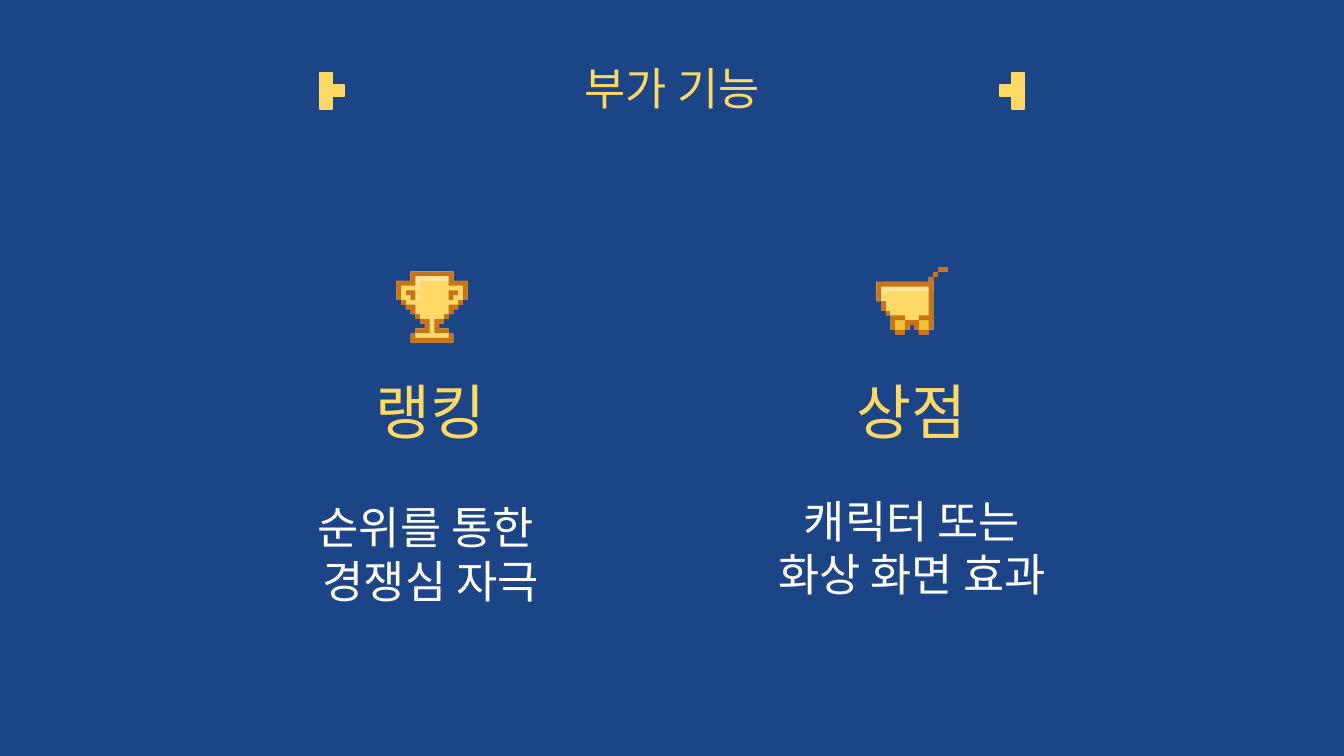
from dataclasses import dataclass

from lxml.etree import SubElement
from pptx import Presentation
from pptx.dml.color import RGBColor
from pptx.enum.text import MSO_ANCHOR as Anchor, MSO_AUTO_SIZE as AutoSize, PP_ALIGN as Align
from pptx.oxml.ns import qn
from pptx.util import Inches, Pt

FONT = "Noto Sans CJK KR"
COLORS = {
    "navy": "1C4587",
    "gold": "FFD966",
    "light": "FFE599",
    "amber": "F1C232",
    "brown": "C9741B",
    "white": "FFFFFF",
}


@dataclass(frozen=True)
class Piece:
    """A right-angled outline: corner x, y pairs, each edge alternately across and down."""
    color: str
    corners: tuple[float, ...]
    outlined: bool = False

    def mirrored(self, columns: int) -> "Piece":
        flipped = tuple(columns - value if index % 2 == 0 else value
                        for index, value in enumerate(self.corners))
        return Piece(self.color, flipped, self.outlined)

    def shifted(self, columns: int) -> "Piece":
        moved = tuple(value + columns if index % 2 == 0 else value
                      for index, value in enumerate(self.corners))
        return Piece(self.color, moved, self.outlined)


@dataclass(frozen=True)
class Icon:
    left: float
    top: float
    cell_width: float
    cell_height: float
    pieces: list[Piece]


@dataclass(frozen=True)
class Label:
    placeholder: int
    box: tuple[float, float, float, float]
    text: str
    size: int
    color: str
    anchor: Anchor


def rgb(name: str) -> RGBColor:
    return RGBColor.from_string(COLORS[name])


def draw_icon(page, icon: Icon) -> None:
    group = page.shapes.add_group_shape()
    for piece in icon.pieces:
        xs = [Inches(icon.left + x * icon.cell_width) for x in piece.corners[::2]]
        ys = [Inches(icon.top + y * icon.cell_height) for y in piece.corners[1::2]]
        points = []
        for x, next_x, y in zip(xs, xs[1:] + xs[:1], ys):
            points += [(x, y), (next_x, y)]
        builder = group.shapes.build_freeform(*points[0])
        builder.add_line_segments(points[1:], close=True)
        shape = builder.convert_to_shape()
        shape.shadow.inherit = False
        shape.fill.solid()
        shape.fill.fore_color.rgb = rgb(piece.color)
        if piece.outlined:
            shape.line.color.rgb = rgb(piece.color)
            shape.line.width = Pt(0.75)
        else:
            shape.line.fill.background()


def fill_label(page, label: Label) -> None:
    holder = page.placeholders[label.placeholder]
    holder.left, holder.top, holder.width, holder.height = map(Inches, label.box)
    frame = holder.text_frame
    frame.text = label.text
    frame.word_wrap = True
    frame.auto_size = AutoSize.NONE
    frame.vertical_anchor = label.anchor
    frame.margin_left = frame.margin_right = Inches(0.1)
    frame.margin_top = frame.margin_bottom = Inches(0.1)
    for para in frame.paragraphs:
        para.alignment = Align.CENTER
        para.space_before = Pt(0)
        properties = para._p.get_or_add_pPr()
        properties.set("marL", "0")
        properties.set("indent", "0")
        SubElement(properties, qn("a:buNone"))
        for span in para.runs:
            span.font.name = FONT
            span.font.size = Pt(label.size)
            span.font.bold = False
            span.font.color.rgb = rgb(label.color)
            SubElement(span.font._element, qn("a:ea")).set("typeface", FONT)


BRACKET = [Piece("gold", (x, y, x + 1, y + 1), True)
           for x, y in ((0, 2), (0, 1), (0, 0), (1, 1))]

TROPHY_SIDE = [
    Piece("brown", (4, 9, 5, 10)),
    Piece("brown", (5, 10, 7, 13, 4, 12, 6, 11)),
    Piece("brown", (1, 6, 2, 7)),
    Piece("brown", (2, 7, 4, 9, 3, 8)),
    Piece("brown", (2, 4, 4, 6, 3, 5)),
]
TROPHY = [
    Piece("gold", (3, 0, 12, 2, 15, 6, 14, 7, 13, 8, 12, 9, 11, 10, 10, 11, 9, 12, 11, 13,
                   12, 15, 3, 13, 4, 12, 6, 11, 5, 10, 4, 9, 3, 8, 2, 7, 1, 6, 0, 2)),
    Piece("light", (3, 0, 12, 2, 5, 4, 4, 3)),
    Piece("light", (3, 5, 5, 6)),
    *TROPHY_SIDE,
    *(piece.mirrored(15) for piece in TROPHY_SIDE),
    Piece("brown", (3, 13, 4, 14, 11, 13, 12, 15)),
    Piece("brown", (3, 0, 12, 2, 15, 6, 14, 3, 11, 1, 4, 3, 1, 6, 0, 2)),
]

WHEEL = Piece("amber", (4, 10, 6, 11, 7, 13, 6, 14, 4, 13, 3, 11))
WHEEL_RIM = Piece("brown", (4, 13, 6, 14))
CART = [
    Piece("gold", (11, 2, 12, 13, 11, 14, 9, 13, 8, 12, 7, 13, 6, 14, 4, 13,
                   3, 10, 2, 9, 1, 7, 0, 3)),
    Piece("light", (0, 3, 12, 5, 2, 5.5)),
    Piece("light", (0, 6.5, 2, 8.5, 1, 7)),
    WHEEL,
    WHEEL.shifted(5),
    Piece("brown", (3, 10, 6, 11, 4, 13)),
    WHEEL_RIM,
    Piece("brown", (6, 11, 9, 13, 8, 12, 7, 13)),
    WHEEL_RIM.shifted(5),
    Piece("brown", (12, 1, 13, 2)),
    Piece("brown", (11, 2, 12, 13, 11, 11, 9, 10, 11, 4, 1, 7, 0, 3)),
    Piece("brown", (13, 0, 15, 1)),
    Piece("brown", (2, 9, 3, 10)),
    Piece("brown", (1, 7, 2, 9)),
]

ICONS = [
    Icon(2.38, 0.54, 0.09, 0.09, BRACKET),
    Icon(7.44, 0.54, 0.09, 0.09, [piece.mirrored(2) for piece in BRACKET]),
    Icon(2.95, 2.02, 0.53 / 15, 0.53 / 15, TROPHY),
    Icon(6.52, 1.99, 0.53 / 15, 0.5 / 14, CART),
]
LABELS = [
    Label(0, (0.34, 0.32, 9.32, 0.63), "부가 기능", 24, "gold", Anchor.BOTTOM),
    Label(1, (1.97, 2.99, 2.47, 0.43), "랭킹", 32, "gold", Anchor.BOTTOM),
    Label(2, (1.97, 3.62, 2.47, 1.21), "순위를 통한 \n경쟁심 자극", 24, "white", Anchor.TOP),
    Label(3, (5.55, 2.99, 2.47, 0.43), "상점", 32, "gold", Anchor.BOTTOM),
    Label(4, (5.55, 3.57, 2.47, 1.21), "캐릭터 또는\n화상 화면 효과", 24, "white", Anchor.TOP),
]


def main() -> None:
    deck = Presentation()
    deck.slide_width = Inches(10)
    deck.slide_height = deck.slide_width * 9 // 16
    comparison_layout = deck.slide_layouts[4]
    page = deck.slides.add_slide(comparison_layout)
    page.background.fill.solid()
    page.background.fill.fore_color.rgb = rgb("navy")
    for label in LABELS:
        fill_label(page, label)
    for icon in ICONS:
        draw_icon(page, icon)
    deck.save("out.pptx")


if __name__ == "__main__":
    main()
